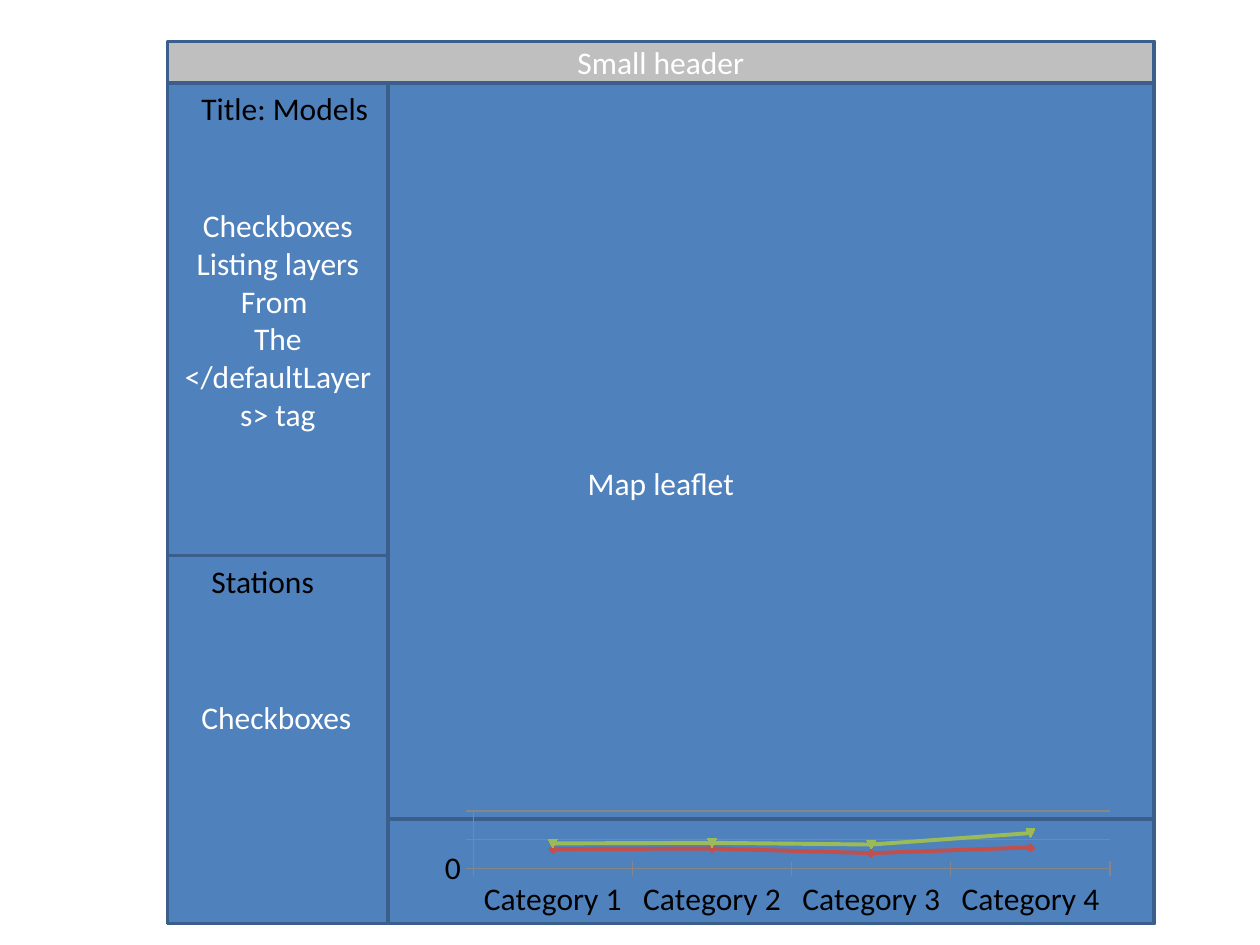
from pptx import Presentation
from pptx.chart import data as chart_data
from pptx.dml import color
from pptx.enum import chart as chart_enum, shapes, text
from pptx.util import Inches, Pt

BLUE, GREY, OUTLINE, AXIS = "4F81BD", "BFBFBF", "3A5F8C", "868686"
WHITE, BLACK = "FFFFFF", "000000"
LEFT, TOP, WIDTH, HEIGHT = 1.33, 0.33, 7.83, 7
HEADER_HEIGHT, SIDEBAR_WIDTH, MODELS_HEIGHT, STRIP_HEIGHT = 0.33, 1.75, 3.75, 0.83


def rgb(value):
    """Turn a hex string into a colour."""
    return color.RGBColor.from_string(value)


def write(frame, lines, ink=WHITE, size=18, align=text.PP_ALIGN.LEFT):
    """Write one paragraph per line into a text frame."""
    frame.text = "\n".join(lines)
    for paragraph in frame.paragraphs:
        paragraph.alignment = align
        for run in paragraph.runs:
            run.font.name = "Calibri"
            run.font.size = Pt(size)
            run.font.color.rgb = rgb(ink)


def panel(slide, left, top, width, height, lines=(), fill=BLUE):
    """Draw an outlined panel with centred text."""
    box = slide.shapes.add_shape(shapes.MSO_SHAPE.RECTANGLE, Inches(left),
                                 Inches(top), Inches(width), Inches(height))
    box.shadow.inherit = False
    box.fill.solid()
    box.fill.fore_color.rgb = rgb(fill)
    box.line.color.rgb = rgb(OUTLINE)
    box.line.width = Pt(2)
    box.text_frame.word_wrap = True
    box.text_frame.vertical_anchor = text.MSO_ANCHOR.MIDDLE
    if lines:
        write(box.text_frame, lines, align=text.PP_ALIGN.CENTER)


def label(slide, left, top, width, words, ink=BLACK):
    """Place a single-line label."""
    frame = slide.shapes.add_textbox(Inches(left), Inches(top), Inches(width),
                                     Inches(0.4)).text_frame
    frame.word_wrap = False
    frame.auto_size = text.MSO_AUTO_SIZE.SHAPE_TO_FIT_TEXT
    write(frame, [words], ink=ink)


def sidebar(slide, left, top, width, height):
    """Build the models and stations column."""
    stations_top = top + MODELS_HEIGHT
    panel(slide, left, top, width, height)
    panel(slide, left, top, width, MODELS_HEIGHT,
          ["Checkboxes", "Listing layers", "From ", "The </defaultLayers> tag"])
    label(slide, left + 0.17, top, 1.54, "Title: Models")
    label(slide, left + 0.25, stations_top, 1.02, "Stations")
    label(slide, left + 0.17, stations_top + 1.08, 1.41, "Checkboxes", ink=WHITE)


def chart_strip(slide, left, top, width, height):
    """Build the strip with the stacked line chart."""
    panel(slide, left, top, width, height)
    figures = chart_data.CategoryChartData()
    figures.categories = [f"Category {n}" for n in range(1, 5)]
    series_values = [(4.3, 2.5, 3.5, 4.5), (2.4, 4.4, 1.8, 2.8), (2, 2, 3, 5)]
    for number, values in enumerate(series_values, 1):
        figures.add_series(f"Series {number}", values)
    chart = slide.shapes.add_chart(
        chart_enum.XL_CHART_TYPE.LINE_MARKERS_STACKED, Inches(left + 0.34),
        Inches(top - 0.08), Inches(5.5), Inches(0.89), figures).chart
    chart.has_legend = False
    chart.has_title = False
    chart.font.name = "Calibri"
    chart.font.size = Pt(18)
    chart.font.color.rgb = rgb(BLACK)
    chart.plots[0].vary_by_categories = False
    for series, ink in zip(chart.plots[0].series, (BLUE, "C0504D", "9BBB59")):
        series.smooth = False
        series.format.line.color.rgb = rgb(ink)
        series.format.line.width = Pt(2.25)
        series.marker.format.fill.solid()
        series.marker.format.fill.fore_color.rgb = rgb(ink)
        series.marker.format.line.color.rgb = rgb(ink)
    for axis in (chart.category_axis, chart.value_axis):
        axis.major_tick_mark = chart_enum.XL_TICK_MARK.CROSS
        axis.format.line.color.rgb = rgb(AXIS)
    chart.value_axis.has_major_gridlines = True
    chart.value_axis.major_gridlines.format.line.color.rgb = rgb(AXIS)


def map_page(slide, left, top, width, height):
    """Build the whole page wireframe."""
    body_top = top + HEADER_HEIGHT
    panel(slide, left, top, width, height, ["Map leaflet"])
    panel(slide, left, top, width, HEADER_HEIGHT, ["Small header"], fill=GREY)
    sidebar(slide, left, body_top, SIDEBAR_WIDTH, height - HEADER_HEIGHT)
    chart_strip(slide, left + SIDEBAR_WIDTH, top + height - STRIP_HEIGHT,
                width - SIDEBAR_WIDTH, STRIP_HEIGHT)


deck = Presentation()
deck.slide_width, deck.slide_height = Inches(10), Inches(7.5)
map_page(deck.slides.add_slide(deck.slide_layouts[6]), LEFT, TOP, WIDTH, HEIGHT)
deck.save("out.pptx")
